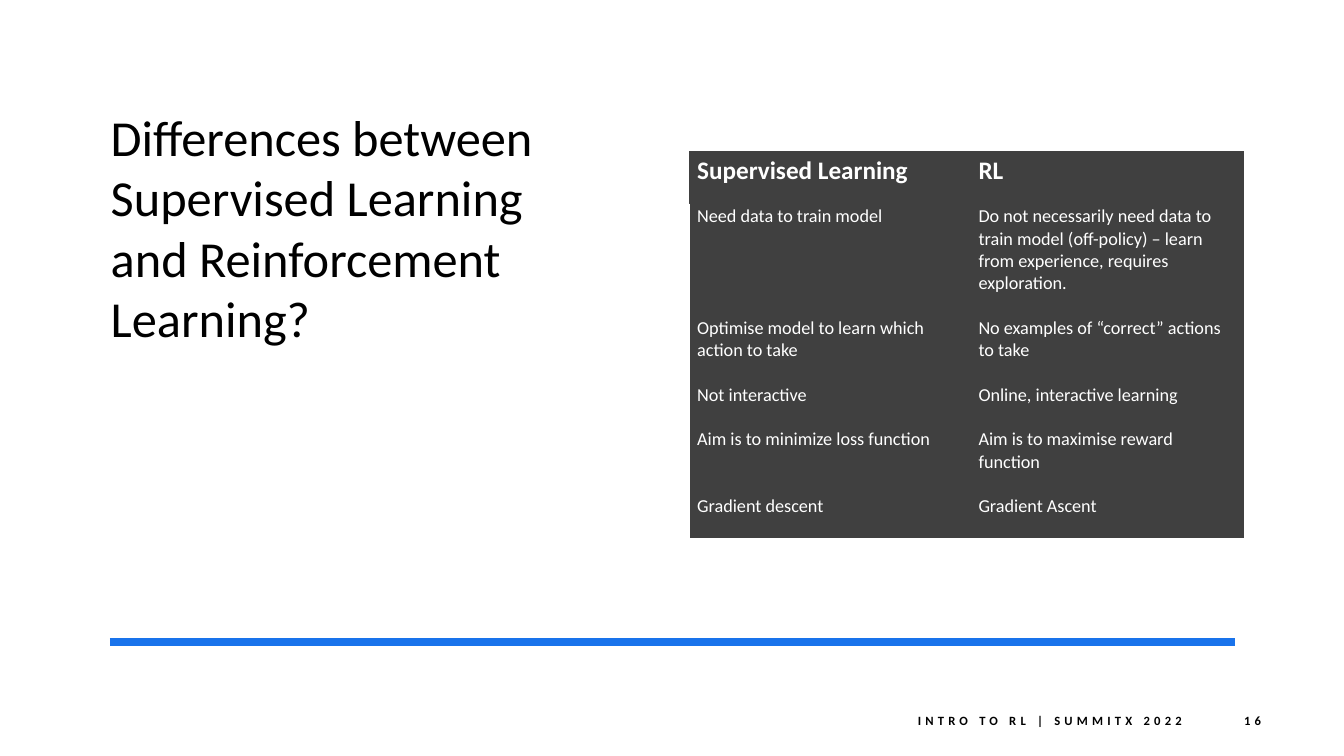
from dataclasses import dataclass

import pptx
import pptx.dml.color
import pptx.enum.shapes
import pptx.enum.text
import pptx.oxml.ns
import pptx.util
from lxml import etree
from pptx.util import Cm, Pt

PLAIN_TABLE_STYLE = "{2D5ABB26-0587-4C30-8999-92F81FD0307C}"


@dataclass(frozen=True)
class Theme:
    font: str = "Calibri"
    ink: str = "000000"
    paper: str = "FFFFFF"
    accent: str = "1973EB"
    panel: str = "404040"
    title_size: int = 36
    heading_size: int = 18
    body_size: int = 13
    footer_size: int = 9


THEME = Theme()

COMPARISON = [
    ("Supervised Learning", "RL"),
    ("Need data to train model",
     "Do not necessarily need data to train model (off-policy) – "
     "learn from experience, requires exploration."),
    ("Optimise model to learn which action to take",
     "No examples of “correct” actions to take"),
    ("Not interactive", "Online, interactive learning"),
    ("Aim is to minimize loss function", "Aim is to maximise reward function"),
    ("Gradient descent", "Gradient Ascent"),
]
COLUMN_WIDTHS = (7.09, 6.88)
ROW_HEIGHTS = (1.32, 2.82, 1.68, 1.12, 1.68, 1.12)


def rgb(colour):
    return pptx.dml.color.RGBColor.from_string(colour)


def format_runs(text_frame, size, colour, bold=False):
    for paragraph in text_frame.paragraphs:
        for run in paragraph.runs:
            run.font.name = THEME.font
            run.font.size = Pt(size)
            run.font.bold = bold
            run.font.color.rgb = rgb(colour)


def add_text(slide, text, left, top, width, height, size, bold=False):
    frame = slide.shapes.add_textbox(
        Cm(left), Cm(top), Cm(width), Cm(height)).text_frame
    frame.word_wrap = True
    frame.text = text
    format_runs(frame, size, THEME.ink, bold)
    return frame


def add_footer(slide, text, left, width):
    footer = add_text(slide, text, left, 17.65, width, 1.02,
                      THEME.footer_size, bold=True)
    footer.vertical_anchor = pptx.enum.text.MSO_ANCHOR.MIDDLE
    paragraph = footer.paragraphs[0]
    paragraph.alignment = pptx.enum.text.PP_ALIGN.RIGHT
    paragraph.space_after = Pt(6)
    # Letter spacing of 3 pt
    paragraph.runs[0].font._element.set("spc", "300")


def add_rule(slide, left, right, y):
    rule = slide.shapes.add_connector(
        pptx.enum.shapes.MSO_CONNECTOR.STRAIGHT,
        Cm(left), Cm(y), Cm(right), Cm(y))
    rule.line.color.rgb = rgb(THEME.accent)
    rule.line.width = Pt(6)
    etree.SubElement(rule._element.spPr, pptx.oxml.ns.qn("a:effectLst"))


def add_left_border(cell, colour):
    qn = pptx.oxml.ns.qn
    border = etree.Element(qn("a:lnL"), w=str(Pt(1)))
    fill = etree.SubElement(border, qn("a:solidFill"))
    etree.SubElement(fill, qn("a:srgbClr"), val=colour)
    cell._tc.get_or_add_tcPr().insert(0, border)


def fill_cell(cell, text, heading):
    cell.text = text
    cell.margin_left, cell.margin_top = Cm(0.2), Cm(0.05)
    cell.margin_right, cell.margin_bottom = Cm(0.28), Cm(0.43)
    anchors = pptx.enum.text.MSO_ANCHOR
    cell.vertical_anchor = anchors.BOTTOM if heading else anchors.TOP
    cell.fill.solid()
    cell.fill.fore_color.rgb = rgb(THEME.panel)
    size = THEME.heading_size if heading else THEME.body_size
    format_runs(cell.text_frame, size, THEME.paper, bold=heading)


def add_comparison(slide, left, top):
    frame = slide.shapes.add_table(
        len(COMPARISON), len(COLUMN_WIDTHS), Cm(left), Cm(top),
        Cm(sum(COLUMN_WIDTHS)), Cm(sum(ROW_HEIGHTS)))
    comparison = frame.table
    comparison.horz_banding = False
    style = comparison._tbl.tblPr.find(pptx.oxml.ns.qn("a:tableStyleId"))
    style.text = PLAIN_TABLE_STYLE
    for column, width in zip(comparison.columns, COLUMN_WIDTHS):
        column.width = Cm(width)
    for row, height in zip(comparison.rows, ROW_HEIGHTS):
        row.height = Cm(height)
    for r, texts in enumerate(COMPARISON):
        for c, text in enumerate(texts):
            cell = comparison.cell(r, c)
            fill_cell(cell, text, heading=r == 0)
            if r > 0 and c == 0:
                add_left_border(cell, THEME.paper)


def main():
    deck = pptx.Presentation()
    deck.slide_width, deck.slide_height = Cm(33.87), Cm(19.05)
    slide = deck.slides.add_slide(deck.slide_layouts[6])

    # Question and dividing rule
    add_text(slide, "Differences between Supervised Learning and "
             "Reinforcement Learning?", 2.54, 2.54, 13.03, 8, THEME.title_size)
    add_rule(slide, 2.77, 31.12, 16.18)

    # Footer with slide number
    add_footer(slide, "INTRO TO RL | SUMMITX 2022", 18.8, 11.23)
    add_footer(slide, "16", 30.02, 2.01)

    # Comparison of the two approaches
    add_comparison(slide, 17.37, 3.81)

    deck.save("out.pptx")


if __name__ == "__main__":
    main()
